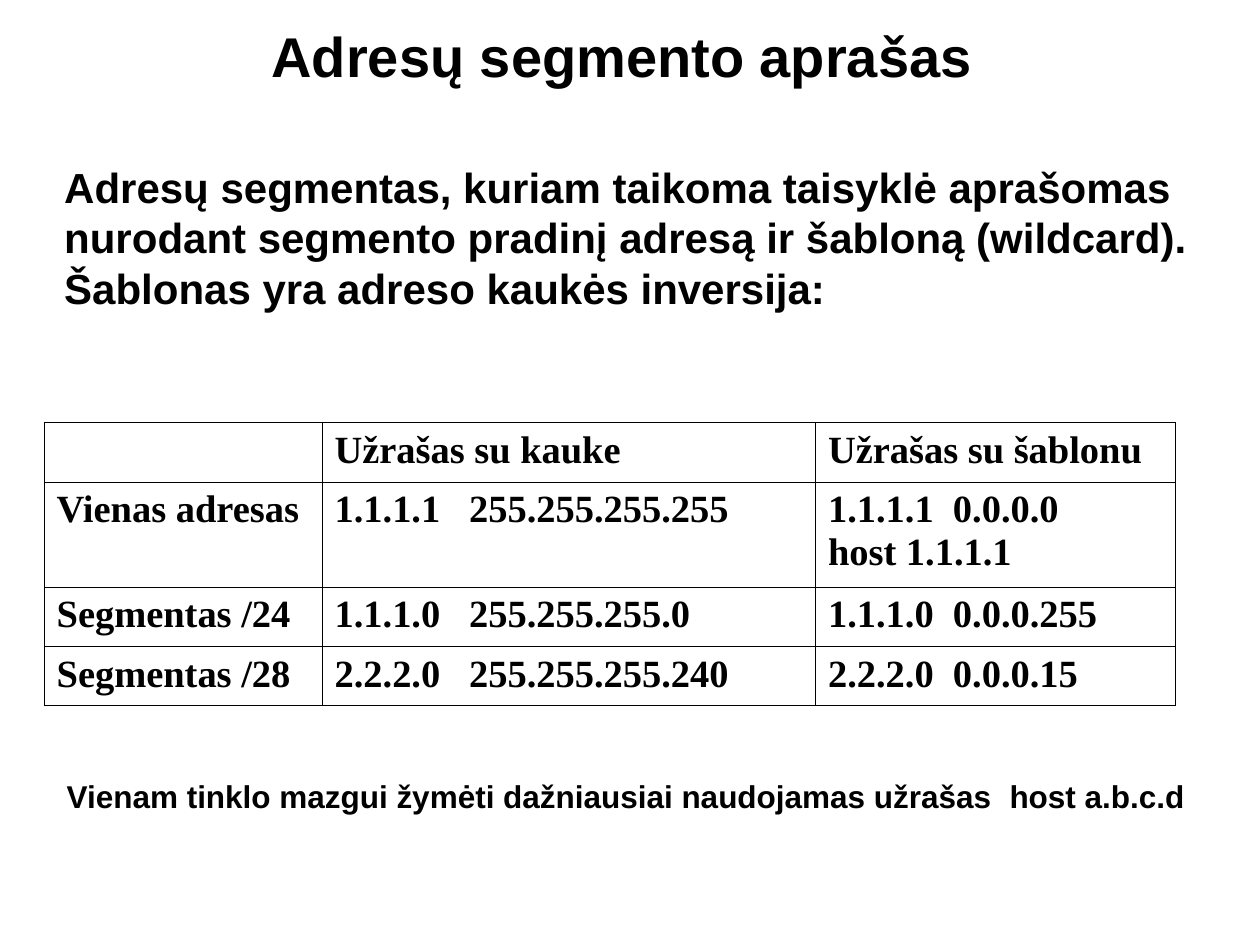
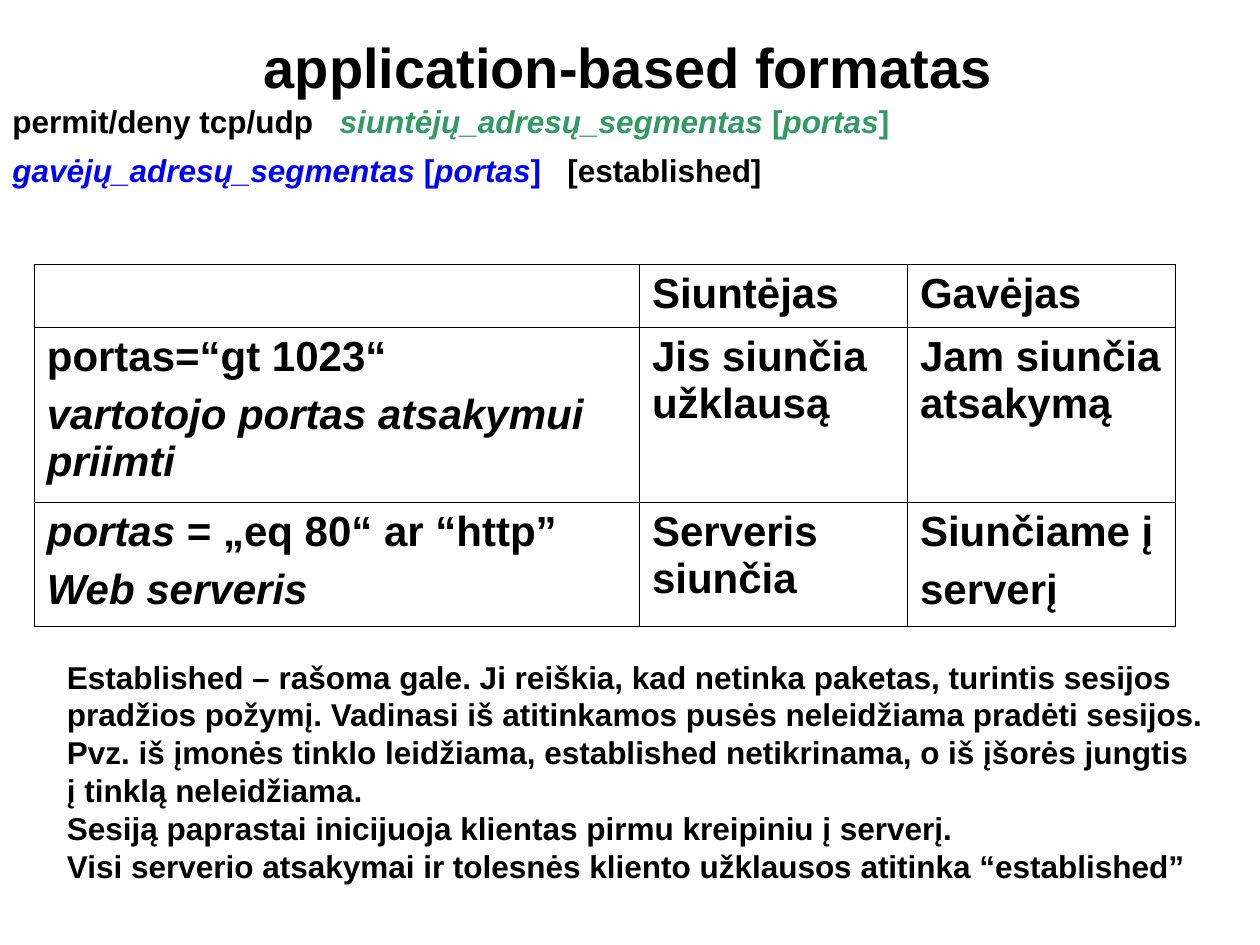
from lxml import etree
from pptx import Presentation
from pptx.dml.color import RGBColor
from pptx.enum.text import MSO_ANCHOR, MSO_AUTO_SIZE, PP_ALIGN
from pptx.oxml.ns import qn
from pptx.util import Pt

TOP, MIDDLE = MSO_ANCHOR.TOP, MSO_ANCHOR.MIDDLE
LEFT, CENTER = PP_ALIGN.LEFT, PP_ALIGN.CENTER
NO_AUTOFIT = MSO_AUTO_SIZE.NONE

COLOURS = {
    "text": "000000",
    "paper": "FFFFFF",
    "border": "000000",
    "sender": "339966",
    "receiver": "0000FF",
}
SANS, SERIF = "Arial", "Times New Roman"
BORDER_WIDTH = 0.45


def colour(key):
    """Return the named colour."""
    return RGBColor.from_string(COLOURS[key])


def format_paragraph(paragraph, size, font, align, before):
    """Set spacing, indents and font of one paragraph."""
    paragraph.alignment = align
    paragraph.line_spacing = 1.0
    paragraph.space_before = Pt(before)
    properties = paragraph._p.get_or_add_pPr()
    properties.set("marL", "0")
    properties.set("indent", "0")
    etree.SubElement(properties, qn("a:buNone"))
    paragraph.font.name = font
    paragraph.font.size = Pt(size)
    paragraph.font.bold = True
    paragraph.font.color.rgb = colour("text")


def add_run(paragraph, text, key, italic):
    """Add one run, marking only what differs from its paragraph."""
    run = paragraph.add_run()
    run.text = text
    if italic:
        run.font.italic = True
    if key != "text":
        run.font.color.rgb = colour(key)
    return run


def add_part(paragraph, text, key, gap):
    """Add text with *italics*, where a tilde is a space widened by gap points."""
    for turn, piece in enumerate(text.split("*")):
        for index, words in enumerate(piece.split("~")):
            if index:
                space = add_run(paragraph, " ", key, False)
                space.font._element.set("spc", str(round(gap * 100)))
            if words:
                add_run(paragraph, words, key, turn % 2)


def write(frame, lines, size, font=SANS, align=LEFT, before=0, gap=0):
    """Write lines that are plain strings or lists of (text, colour) parts."""
    for index, line in enumerate(lines):
        paragraph = frame.paragraphs[0] if index == 0 else frame.add_paragraph()
        format_paragraph(paragraph, size, font, align, before)
        parts = [(line, "text")] if isinstance(line, str) else line
        for text, key in parts:
            add_part(paragraph, text, key, gap)


def place(shape, box, anchor=TOP, wrap=True):
    """Move a text shape into its box and return its text frame."""
    shape.left, shape.top, shape.width, shape.height = map(Pt, box)
    frame = shape.text_frame
    frame.auto_size = NO_AUTOFIT
    frame.word_wrap = wrap
    frame.vertical_anchor = anchor
    return frame


def add_title(slide, box, title):
    """Fill the title placeholder."""
    write(place(slide.shapes.title, box, MIDDLE), [title], 32, align=CENTER)


def add_body(slide, box, lines, size, anchor=TOP):
    """Fill the body placeholder with plain lines."""
    write(place(slide.placeholders[1], box, anchor, wrap=False), lines, size)


def add_note(slide, box, lines, before=0, gap=0):
    """Add a text box with small bold lines."""
    frame = place(slide.shapes.add_textbox(*map(Pt, box)), box)
    write(frame, lines, 18, before=before, gap=gap)


def style_cell(cell):
    """Give a cell thin borders and a plain fill."""
    properties = cell._tc.get_or_add_tcPr()
    for side in ("a:lnL", "a:lnR", "a:lnT", "a:lnB"):
        line = etree.SubElement(properties, qn(side), w=str(Pt(BORDER_WIDTH)))
        fill = etree.SubElement(line, qn("a:solidFill"))
        etree.SubElement(fill, qn("a:srgbClr"), val=COLOURS["border"])
    cell.fill.solid()
    cell.fill.fore_color.rgb = colour("paper")


def add_grid(slide, origin, widths, heights, rows, size, font=SANS, before=0, gaps=(0, 0, 0)):
    """Add a bordered table whose cells are lists of lines."""
    box = (*origin, sum(widths), sum(heights))
    table = slide.shapes.add_table(len(rows), len(widths), *map(Pt, box)).table
    table.first_row = table.horz_banding = False
    for column, width in zip(table.columns, widths):
        column.width = Pt(width)
    for row, height in zip(table.rows, heights):
        row.height = Pt(height)
    for r, row in enumerate(rows):
        for c, lines in enumerate(row):
            cell = table.cell(r, c)
            style_cell(cell)
            write(cell.text_frame, lines, size, font, before=before, gap=gaps[c])


def build_segment_slide(slide):
    """Describe address segments with masks and wildcards."""
    add_title(slide, (105.5, 8.5, 500, 46), "Adresų segmento aprašas")
    add_body(slide, (29.5, 60, 662, 151), [
        "Adresų segmentas, kuriam taikoma taisyklė aprašomas",
        "nurodant segmento pradinį adresą ir šabloną (wildcard).",
        "Šablonas yra adreso kaukės inversija:",
    ], 24, MIDDLE)
    add_grid(slide, (25.2, 241.5), (158.8, 282, 205.5), (34, 60, 34, 33.5), [
        [[""], ["Užrašas su kauke"], ["Užrašas su šablonu"]],
        [["Vienas adresas"], ["1.1.1.1~255.255.255.255"],
         ["1.1.1.1~0.0.0.0", "host 1.1.1.1"]],
        [["Segmentas /24"], ["1.1.1.0~255.255.255.0"], ["1.1.1.0~0.0.0.255"]],
        [["Segmentas /28"], ["2.2.2.0~255.255.255.240"], ["2.2.2.0~0.0.0.15"]],
    ], 22, SERIF, gaps=(0, 11, 5.5))
    add_note(slide, (31, 440.5, 670, 29), [
        "Vienam tinklo mazgui žymėti dažniausiai naudojamas užrašas~host a.b.c.d",
    ], gap=5)


def build_format_slide(slide):
    """Explain the application-based rule format."""
    add_title(slide, (109, 15, 500, 46), "application-based formatas")
    add_note(slide, (0, 55, 686, 58), [
        [("permit/deny tcp/udp~", "text"),
         ("*siuntėjų_adresų_segmentas* [*portas*]", "sender")],
        [("*gavėjų_adresų_segmentas* [*portas*]", "receiver"),
         ("~[established]", "text")],
    ], before=6, gap=10)
    add_grid(slide, (19.6, 151.2), (345.8, 153.2, 153.2), (36, 100, 71), [
        [[""], ["Siuntėjas"], ["Gavėjas"]],
        [["portas=“gt 1023“", "*vartotojo portas atsakymui priimti*"],
         ["Jis siunčia užklausą"], ["Jam siunčia atsakymą"]],
        [["*portas *= „eq 80“ ar “http”", "*Web serveris*"],
         ["Serveris siunčia"], ["Siunčiame į", "serverį"]],
    ], 24, before=6)
    add_body(slide, (31, 372.2, 664.6, 137), [
        "Established – rašoma gale. Ji reiškia, kad netinka paketas, turintis sesijos",
        "pradžios požymį. Vadinasi iš atitinkamos pusės neleidžiama pradėti sesijos.",
        "Pvz. iš įmonės tinklo leidžiama, established netikrinama, o iš įšorės jungtis",
        "į tinklą neleidžiama.",
        "Sesiją paprastai inicijuoja klientas pirmu kreipiniu į serverį.",
        "Visi serverio atsakymai ir tolesnės kliento užklausos atitinka “established”",
    ], 18)


def main():
    """Build both slides and save the presentation."""
    deck = Presentation()
    deck.slide_width, deck.slide_height = Pt(720), Pt(540)
    for build in (build_segment_slide, build_format_slide):
        build(deck.slides.add_slide(deck.slide_layouts[1]))
    deck.save("out.pptx")


if __name__ == "__main__":
    main()
